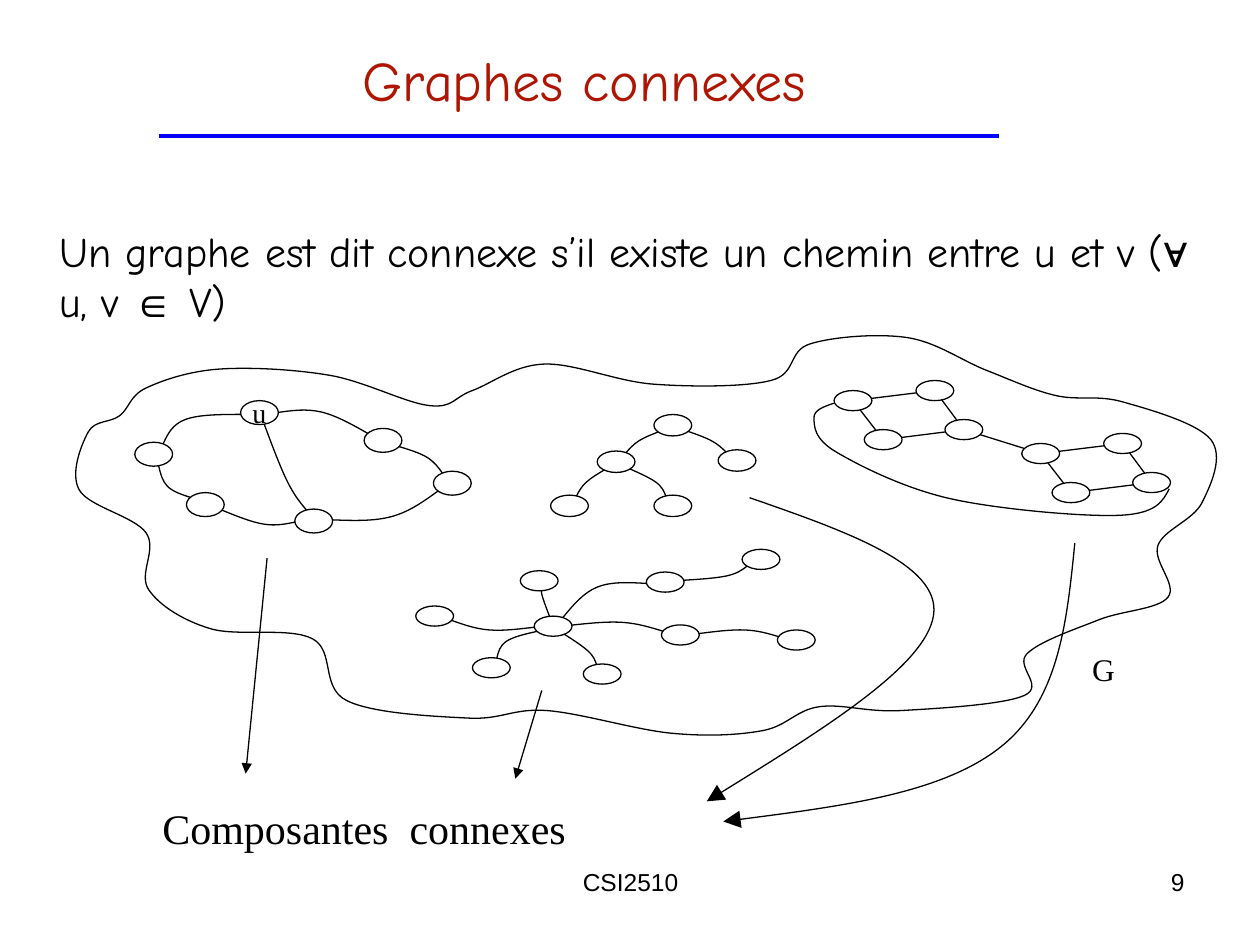
from math import hypot

from lxml.etree import SubElement
from pptx import Presentation
from pptx.dml.color import RGBColor
from pptx.enum.shapes import MSO_CONNECTOR as Connector, MSO_SHAPE as Shape
from pptx.enum.text import MSO_ANCHOR as Anchor, MSO_AUTO_SIZE as AutoSize, PP_ALIGN as Align
from pptx.oxml.ns import qn
from pptx.util import Inches, Pt

COLORS = {"ink": "000000", "paper": "FFFFFF", "title": "AE1502", "rule": "0000FF"}
COMIC, ARIAL, TIMES = "Comic Neue", "Arial", "Times New Roman"

# Text: box, alignment, size, autosize, runs of (text, font)
TITLE = ((0.39, 0, 8.5, 1.25), "Graphes connexes")
TITLE_RULE = ((1.26, 1.08), (7.93, 1.08))
GROW = AutoSize.SHAPE_TO_FIT_TEXT
TEXTS = [
    ((3.42, 6.83, 3.17, 0.52), Align.CENTER, 14, AutoSize.NONE, [("CSI2510", ARIAL)]),
    ((7.17, 6.83, 2.33, 0.52), Align.RIGHT, 14, AutoSize.NONE, [("9", ARIAL)]),
    ((0.37, 1.74, 9.22, 0.9), Align.LEFT, 24, GROW, [
        ("Un graphe est dit connexe s’il existe un chemin entre u et v (", COMIC),
        ("∀", ARIAL), (" u, v ", COMIC), ("∈", ARIAL), (" V)", COMIC)]),
    ((1.19, 6.32, 4.84, 0.5), Align.LEFT, 24, GROW, [("Composantes  connexes", TIMES)]),
    ((8.57, 5.11, 0.86, 0.4), Align.LEFT, 18, GROW, [("G", TIMES)]),
]

# Components: node height, nodes by letter (left, top),
# edges by their two letters with the point a curved edge passes through
NODE_WIDTH = 0.3
DIAMOND = {"a": (6.62, 3.1), "b": (7.27, 3.02), "c": (6.86, 3.41), "d": (7.5, 3.33)}
DIAMOND_SHIFT = (1.49, 0.42)
SECOND_DIAMOND = {
    letter: (left + DIAMOND_SHIFT[0], top + DIAMOND_SHIFT[1])
    for letter, (left, top) in zip("efgh", DIAMOND.values())
}
COMPONENTS = [
    (0.19,
     {"a": (1.07, 3.51), "u": (1.91, 3.18), "c": (2.89, 3.4), "d": (3.44, 3.74),
      "e": (2.34, 4.04), "f": (1.48, 3.91)},
     {"au": (1.47, 3.33), "uc": (2.55, 3.27), "fe": (2.09, 4.16), "de": (3.11, 4.1),
      "ue": (2.28, 3.82), "dc": (3.39, 3.63), "fa": (1.33, 3.86)}),
    (0.17,
     {"a": (5.19, 3.29), "b": (5.7, 3.57), "c": (5.19, 3.93), "d": (4.37, 3.93),
      "e": (4.74, 3.58)},
     {"ae": (5.07, 3.5), "ab": (5.65, 3.5), "ed": (4.65, 3.83), "ec": (5.21, 3.83)}),
    (0.16,
     {"a": (3.3, 4.81), "b": (4.13, 4.53), "c": (5.13, 4.54), "d": (5.25, 4.96),
      "e": (4.63, 5.27), "f": (3.75, 5.22), "g": (4.24, 4.89), "h": (6.17, 5),
      "i": (5.89, 4.36)},
     {"gc": (4.74, 4.66), "gb": (4.31, 4.75), "ga": (3.88, 5), "gf": (4.02, 5.09),
      "ge": (4.67, 5.17), "gd": (4.94, 4.94), "ci": (5.77, 4.57), "dh": (5.91, 5)}),
    (0.16, {**DIAMOND, **SECOND_DIAMOND},
     dict.fromkeys(["ab", "ac", "bd", "cd", "de", "ef", "eg", "fh", "gh"])),
]

# Free curves, by the points they pass through
LONG_EDGE = [(6.62, 3.2), (6.46, 3.32), (6.64, 3.59), (7.55, 3.96), (8.89, 4.09), (9.28, 3.88)]
GRAPH_OUTLINE = [
    (0.7, 3.43), (0.63, 3.89), (1.16, 4.23), (1.18, 4.68), (1.67, 4.99), (2.48, 5.07),
    (2.75, 5.56), (3.72, 5.7), (4.34, 5.64), (5.33, 5.82), (6.05, 5.8), (6.5, 5.61),
    (7.15, 5.64), (8.13, 5.52), (8.15, 5.19), (8.72, 4.92), (9.27, 4.74), (9.19, 4.33),
    (9.54, 3.99), (9.61, 3.49), (8.91, 3.19), (8.38, 3.14), (7.83, 2.94), (7.2, 2.68),
    (6.43, 2.73), (6.12, 3.02), (5.19, 3.05), (4.32, 2.89), (3.75, 3.1), (3.41, 3.22),
    (2.62, 2.98), (1.74, 2.93), (1.16, 3.08), (0.95, 3.3),
]
STRAIGHT_ARROWS = [((2.12, 4.43), (1.95, 6.14)), ((4.3, 5.48), (4.09, 6.18))]
CURVED_ARROWS = [
    [(5.95, 3.95), (7.41, 4.88), (5.61, 6.36)],
    [(8.53, 4.31), (7.94, 5.93), (5.74, 6.52)],
]


def rgb(name):
    return RGBColor.from_string(COLORS[name])


def inches(values):
    return [Inches(value) for value in values]


def add_run(para, text, font, size, color="ink"):
    span = para.add_run()
    span.text = text
    for name, value in {"name": font, "size": Pt(size)}.items():
        setattr(span.font, name, value)
    span.font.color.rgb = rgb(color)


def style_line(shape, color="ink", width=0.75, arrow=None):
    shape.line.color.rgb = rgb(color)
    shape.line.width = Pt(width)
    if arrow:
        line = shape.line._get_or_add_ln()
        SubElement(line, qn("a:tailEnd"), type="triangle", w=arrow, len=arrow)


def add_line(shapes, start, end, **style):
    line = shapes.add_connector(Connector.STRAIGHT, *inches(start + end))
    style_line(line, **style)
    SubElement(line._element.spPr, qn("a:effectLst"))


def middle(one, other):
    return tuple((a + b) / 2 for a, b in zip(one, other))


def smooth(points, close):
    """Start point, then two handles and an end point for each segment."""
    knots = [points[-1], *points, *points[:2]] if close else [points[0], *points, points[-1]]
    result = [points[0]]
    for before, start, end, after in zip(knots, knots[1:], knots[2:], knots[3:]):
        leave = tuple(s + (e - b) / 6 for b, s, e in zip(before, start, end))
        arrive = tuple(e - (a - s) / 6 for s, e, a in zip(start, end, after))
        if before == start:
            leave = middle(start, arrive)
        if after == end:
            arrive = middle(leave, end)
        result += [leave, arrive, end]
    return result


def add_curve(shapes, points, close=False, **style):
    start, *others = smooth(points, close)
    builder = shapes.build_freeform(*inches(start), scale=1.0)
    builder.add_line_segments([inches(point) for point in others], close=close)
    curve = builder.convert_to_shape()
    # Every three line segments become one Bezier segment
    steps = list(curve._element.iter(qn("a:lnTo")))
    for first, second, third in zip(steps[::3], steps[1::3], steps[2::3]):
        first.tag = qn("a:cubicBezTo")
        for step in (second, third):
            first.append(step[0])
            step.getparent().remove(step)
    curve.fill.background()
    curve.shadow.inherit = False
    style_line(curve, **style)


def add_node(shapes, letter, left, top, height):
    node = shapes.add_shape(Shape.OVAL, *inches((left, top, NODE_WIDTH, height)))
    node.shadow.inherit = False
    node.fill.solid()
    node.fill.fore_color.rgb = rgb("paper")
    style_line(node)
    if letter == "u":
        frame = node.text_frame
        frame.word_wrap = False
        frame.vertical_anchor = Anchor.MIDDLE
        frame.paragraphs[0].alignment = Align.CENTER
        add_run(frame.paragraphs[0], letter, TIMES, 16)


def node_border(node, height, target):
    """Where the line from a node's centre to the target leaves the node."""
    x, y = node[0] + NODE_WIDTH / 2, node[1] + height / 2
    dx, dy = target[0] - x, target[1] - y
    reach = hypot(dx / (NODE_WIDTH / 2), dy / (height / 2))
    return x + dx / reach, y + dy / reach


def add_edge(shapes, start, end, height, via):
    half = (NODE_WIDTH / 2, height / 2)
    centres = [tuple(a + b for a, b in zip(node, half)) for node in (start, end)]
    first = node_border(start, height, via or centres[1])
    last = node_border(end, height, via or centres[0])
    if via:
        add_curve(shapes, [first, via, last])
    else:
        add_line(shapes, first, last)


deck = Presentation()
deck.slide_width, deck.slide_height = Inches(10), Inches(7.5)
page = deck.slides.add_slide(deck.slide_layouts[5])
shapes = page.shapes

# Title and its rule
title = shapes.title
title.left, title.top, title.width, title.height = inches(TITLE[0])
title.text_frame.vertical_anchor = Anchor.MIDDLE
title.text_frame.paragraphs[0].alignment = Align.CENTER
add_run(title.text_frame.paragraphs[0], TITLE[1], COMIC, 32, "title")
add_line(shapes, *TITLE_RULE, color="rule", width=2.75)

# Definition, labels and footer
for place, align, size, fit, runs in TEXTS:
    box = shapes.add_textbox(*inches(place))
    box.text_frame.word_wrap = True
    box.text_frame.auto_size = fit
    para = box.text_frame.paragraphs[0]
    para.alignment = align
    for text, font in runs:
        add_run(para, text, font, size)

# Graph: nodes, edges and outline
for height, nodes, edges in COMPONENTS:
    for letter, (left, top) in nodes.items():
        add_node(shapes, letter, left, top, height)
    for (start, end), via in edges.items():
        add_edge(shapes, nodes[start], nodes[end], height, via)
add_curve(shapes, LONG_EDGE)
add_curve(shapes, GRAPH_OUTLINE, close=True)

# Arrows to the caption
for start, end in STRAIGHT_ARROWS:
    add_line(shapes, start, end, arrow="med")
for points in CURVED_ARROWS:
    add_curve(shapes, points, arrow="lg")

deck.save("out.pptx")
